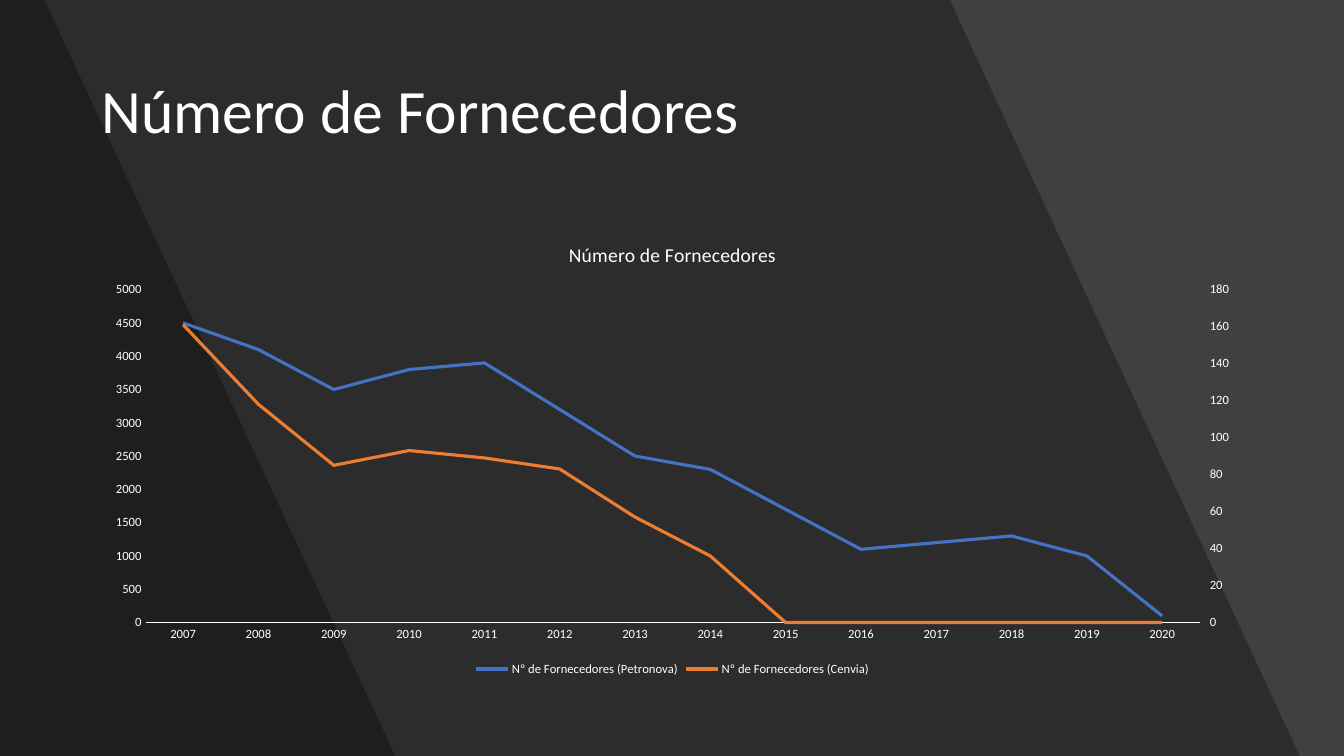
"""Build a dark slide with a two-axis line chart of supplier counts."""
from copy import deepcopy
from dataclasses import dataclass

from lxml import etree
from pptx import Presentation
from pptx.chart.axis import CategoryAxis, ValueAxis
from pptx.chart.chart import Chart
from pptx.chart.data import CategoryChartData
from pptx.dml.color import RGBColor
from pptx.enum.chart import XL_CHART_TYPE, XL_LEGEND_POSITION, XL_TICK_MARK
from pptx.enum.text import MSO_ANCHOR
from pptx.oxml.ns import qn
from pptx.slide import Slide
from pptx.util import Emu, Pt

LINE = XL_CHART_TYPE.LINE
BOTTOM = XL_LEGEND_POSITION.BOTTOM
TICK_NONE, TICK_OUT = XL_TICK_MARK.NONE, XL_TICK_MARK.OUTSIDE
MIDDLE = MSO_ANCHOR.MIDDLE

SCALE = 9144
W, H = 1333, 750
FONT = "Calibri"
TITLE = "Número de Fornecedores"
COLORS = {"bg": "404040", "shade": "000000", "text": "FFFFFF",
          "blue": "4472C4", "orange": "ED7D31"}


@dataclass(frozen=True)
class Band:
    """A translucent band from the left edge to a slanted side."""
    top: int
    bottom: int


@dataclass(frozen=True)
class Line:
    """One chart series and its colour key."""
    name: str
    color: str
    values: tuple[int, ...]


BANDS = [Band(942, 1289), Band(44, 392)]
LINES = [
    Line("Nº de Fornecedores (Petronova)", "blue",
         (4500, 4100, 3500, 3800, 3900, 3200, 2500, 2300, 1700, 1100, 1200, 1300, 1000, 100)),
    Line("Nº de Fornecedores (Cenvia)", "orange",
         (161, 118, 85, 93, 89, 83, 57, 36, 0, 0, 0, 0, 0, 0)),
]


def px(n: int) -> Emu:
    """Turn px into EMU."""
    return Emu(n * SCALE)


def rgb(key: str) -> RGBColor:
    """Look up a colour."""
    return RGBColor.from_string(COLORS[key])


def apply(obj: object, fmt: dict) -> None:
    """Set each format value on an object."""
    for name, value in fmt.items():
        setattr(obj, name, value)


def style_font(font, size: int) -> None:
    """Give a font the slide's face and colour."""
    apply(font, {"name": FONT, "size": Pt(size), "bold": False})
    font.color.rgb = rgb("text")


def draw_band(s: Slide, band: Band) -> None:
    """Draw one translucent band."""
    fb = s.shapes.build_freeform(0, 0, scale=SCALE)
    fb.add_line_segments([(band.top, 0), (band.bottom, H), (0, H)], close=True)
    sp = fb.convert_to_shape()
    sp.shadow.inherit = False
    sp.line.fill.background()
    sp.fill.solid()
    sp.fill.fore_color.rgb = rgb("shade")
    for clr in sp.element.spPr.iter(qn("a:srgbClr")):
        etree.SubElement(clr, qn("a:alpha")).set("val", "30000")


def draw_title(s: Slide) -> None:
    """Draw the slide title."""
    tf = s.shapes.add_textbox(px(91), px(40), px(1151), px(145)).text_frame
    apply(tf, {"word_wrap": True, "vertical_anchor": MIDDLE})
    p = tf.paragraphs[0]
    p.line_spacing = 0.9
    r = p.add_run()
    r.text = TITLE
    style_font(r.font, 44)


def split_axes(chart: Chart) -> ValueAxis:
    """Move the last series to a second plot and return its right axis."""
    root = chart.element
    plot, cat, val = (root.xpath(f".//c:{tag}")[0] for tag in ("lineChart", "catAx", "valAx"))
    plot2, cat2, val2 = (deepcopy(el) for el in (plot, cat, val))
    plot.remove(plot.findall(qn("c:ser"))[-1])
    plot2.remove(plot2.find(qn("c:ser")))
    cat_id, val_id = "50010", "50020"
    for el, key in zip(plot2.findall(qn("c:axId")), (cat_id, val_id)):
        el.set("val", key)
    for ax, own, other in ((cat2, cat_id, val_id), (val2, val_id, cat_id)):
        ax.find(qn("c:axId")).set("val", own)
        ax.find(qn("c:crossAx")).set("val", other)
    val2.find(qn("c:axPos")).set("val", "r")
    val2.find(qn("c:crosses")).set("val", "max")
    plot.addnext(plot2)
    val.addnext(val2)
    val2.addnext(cat2)
    CategoryAxis(cat2).visible = False
    return ValueAxis(val2)


def draw_chart(s: Slide) -> None:
    """Draw the line chart with its left and right axes."""
    data = CategoryChartData()
    data.categories = [str(year) for year in range(2007, 2021)]
    for line in LINES:
        data.add_series(line.name, line.values)
    chart = s.shapes.add_chart(LINE, px(92), px(221), px(1150), px(454), data).chart
    style_font(chart.font, 10)
    chart.has_title = True
    chart.chart_title.text_frame.text = TITLE
    style_font(chart.chart_title.text_frame.paragraphs[0].runs[0].font, 14)
    chart.has_legend = True
    apply(chart.legend, {"position": BOTTOM, "include_in_layout": False})
    style_font(chart.legend.font, 9)

    plot = chart.plots[0]
    plot.vary_by_categories = False
    for ser, line in zip(plot.series, LINES):
        ser.smooth = False
        ser.format.line.width = Pt(2.25)
        ser.format.line.color.rgb = rgb(line.color)

    cat, val = chart.category_axis, chart.value_axis
    for ax in (cat, val):
        apply(ax, {"has_major_gridlines": False, "major_tick_mark": TICK_NONE,
                   "minor_tick_mark": TICK_NONE})
        style_font(ax.tick_labels.font, 9)
    cat.format.line.width = Pt(0.75)
    cat.format.line.color.rgb = rgb("text")
    val.format.line.fill.background()
    apply(val.tick_labels, {"number_format": "0", "number_format_is_linked": False})

    right = split_axes(chart)
    right.major_tick_mark = TICK_OUT
    for ax, top, step in ((val, 5000, 500), (right, 180, 20)):
        apply(ax, {"minimum_scale": 0, "maximum_scale": top, "major_unit": step})


def main() -> None:
    """Build and save the slide."""
    prs = Presentation()
    apply(prs, {"slide_width": px(W), "slide_height": px(H)})
    s = prs.slides.add_slide(prs.slide_layouts[6])
    s.background.fill.solid()
    s.background.fill.fore_color.rgb = rgb("bg")
    for band in BANDS:
        draw_band(s, band)
    draw_title(s)
    draw_chart(s)
    prs.save("out.pptx")


if __name__ == "__main__":
    main()
